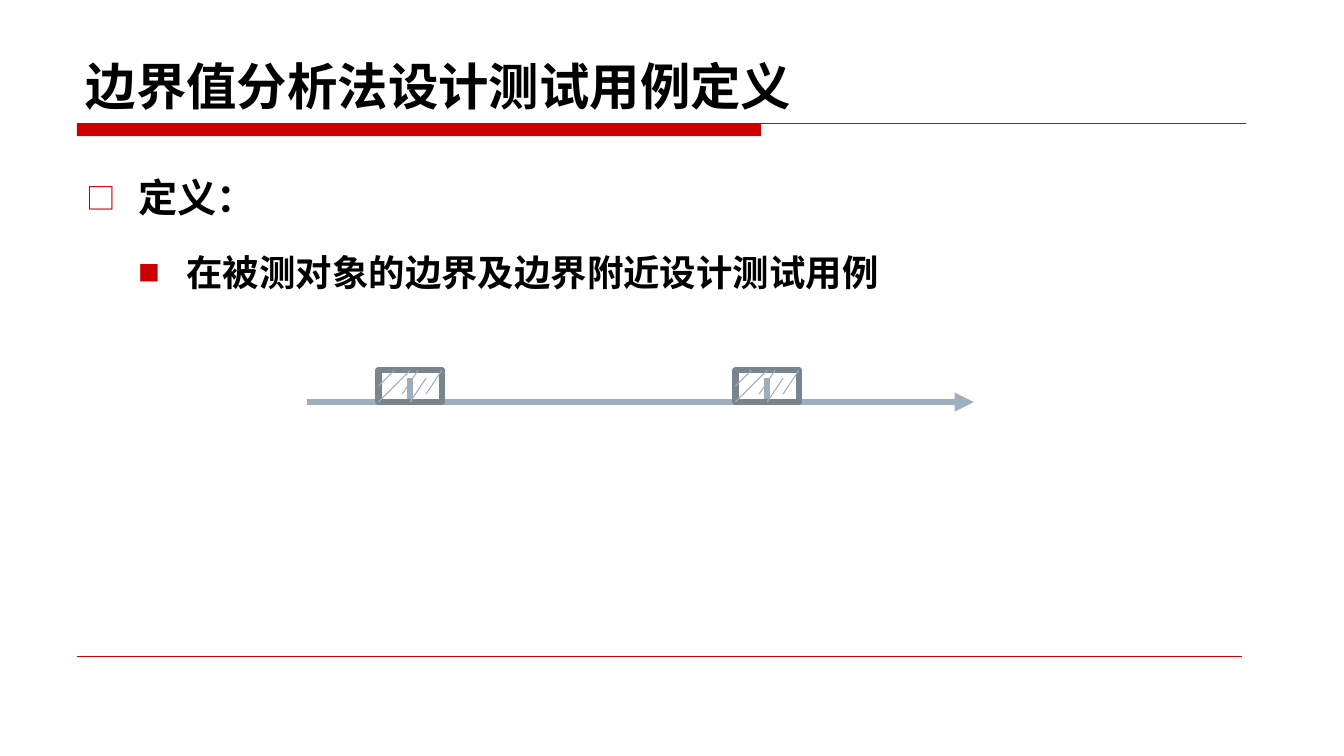
from lxml import etree
from pptx import Presentation
from pptx.dml.color import RGBColor
from pptx.enum.shapes import MSO_CONNECTOR as CONN, MSO_SHAPE as SHAPE
from pptx.enum.text import MSO_ANCHOR as ANCHOR, PP_ALIGN as ALIGN
from pptx.oxml.ns import qn
from pptx.util import Pt

RED, BLACK, AXIS, FRAME = "CC0000", "000000", "9FAEBD", "79848F"
UNIT = 5.67  # step of the hatch grid inside a boundary zone
AXIS_Y = 287.2
HATCHES = [((2, 0), (0, 2)), ((4, 0), (0, 4)), ((5, 0), (3, 3)),
           ((6, 1), (4, 4)), ((8, 0), (6, 3))]


def rgb(color):
    return RGBColor.from_string(color)


def add_text(p, text, size, color=BLACK, bold=True, font="Noto Sans CJK SC"):
    r = p.add_run()
    r.text = text
    f = r.font
    f.size, f.bold, f.name = Pt(size), bold, font
    f.color.rgb = rgb(color)
    etree.SubElement(r._r.get_or_add_rPr(), qn("a:ea"), typeface=font)


def add_bullet(p, char, left, hang, size, color=RED, font="Noto Sans CJK SC"):
    pPr = p._p.get_or_add_pPr()
    pPr.set("marL", str(Pt(left)))
    pPr.set("indent", str(-Pt(hang)))
    clr = etree.SubElement(pPr, qn("a:buClr"))
    etree.SubElement(clr, qn("a:srgbClr"), val=color)
    etree.SubElement(pPr, qn("a:buSzPct"), val=str(size * 1000))
    etree.SubElement(pPr, qn("a:buFont"), typeface=font)
    etree.SubElement(pPr, qn("a:buChar"), char=char)


class Builder:
    def __init__(self, s):
        self.s = s

    def title(self, text, x, y, w, h):
        sp = self.s.shapes.title
        sp.left, sp.top, sp.width, sp.height = Pt(x), Pt(y), Pt(w), Pt(h)
        tf = sp.text_frame
        tf.vertical_anchor = ANCHOR.BOTTOM
        p = tf.paragraphs[0]
        p.alignment = ALIGN.LEFT
        add_text(p, text, 36)

    def body(self, items, x, y, w, h):
        tf = self.s.shapes.add_textbox(Pt(x), Pt(y), Pt(w), Pt(h)).text_frame
        tf.word_wrap = True
        for i, (text, size, level, bullet) in enumerate(items):
            p = tf.add_paragraph() if i else tf.paragraphs[0]
            p.level = level
            p.line_spacing = 1.5
            p.space_before = Pt(0.2 * size if i else 0)
            add_bullet(p, *bullet)
            add_text(p, text, size)

    def rect(self, x, y, w, h, fill=None, line=None, width=0, shapes=None):
        sp = (shapes or self.s.shapes).add_shape(SHAPE.RECTANGLE, Pt(x), Pt(y), Pt(w), Pt(h))
        sp.shadow.inherit = False
        if fill:
            sp.fill.solid()
            sp.fill.fore_color.rgb = rgb(fill)
        else:
            sp.fill.background()
        if line:
            sp.line.color.rgb = rgb(line)
            sp.line.width = Pt(width)
        else:
            sp.line.fill.background()

    def line(self, x1, y1, x2, y2, color=AXIS, width=0.75, arrow=False, shapes=None):
        c = (shapes or self.s.shapes).add_connector(CONN.STRAIGHT, Pt(x1), Pt(y1), Pt(x2), Pt(y2))
        c.line.color.rgb = rgb(color)
        c.line.width = Pt(width)
        if arrow:
            etree.SubElement(c.line._get_or_add_ln(), qn("a:tailEnd"), type="triangle")
        etree.SubElement(c._element.spPr, qn("a:effectLst"))

    def zone(self, x):
        """Hatched frame around one boundary, standing on the axis."""
        y = AXIS_Y - 4 * UNIT
        shapes = self.s.shapes.add_group_shape().shapes
        self.rect(x, y, 8 * UNIT, 4 * UNIT, line=FRAME, width=4.5, shapes=shapes)
        for (x1, y1), (x2, y2) in HATCHES:
            self.line(x + x1 * UNIT, y + y1 * UNIT, x + x2 * UNIT, y + y2 * UNIT, shapes=shapes)


def main():
    prs = Presentation()
    prs.slide_width, prs.slide_height = Pt(960), Pt(540)
    b = Builder(prs.slides.add_slide(prs.slide_layouts[5]))

    b.rect(55, 88.5, 488.6, 8.8, fill=RED)
    b.line(55, 88.5, 890, 88.5, color=RED)
    b.line(55, 468.6, 887, 468.6, color=RED, width=0.25)
    b.title("边界值分析法设计测试用例定义", 54, 21, 840, 65.5)
    b.body([("定义：", 28, 0, ("□", 37, 37, 75)),
            ("在被测对象的边界及边界附近设计测试用例", 26, 1, ("■", 71.5, 34.5, 60))],
           54.7, 103.7, 840, 336)

    b.line(219, AXIS_Y, 695.5, AXIS_Y, width=4.5, arrow=True)
    zones = [270.3, 525.3]
    for x in zones:
        mid = x + 4 * UNIT
        b.line(mid, AXIS_Y - 3 * UNIT, mid, AXIS_Y, width=4.5)
    for x in zones:
        b.zone(x)
    prs.save("out.pptx")


if __name__ == "__main__":
    main()
